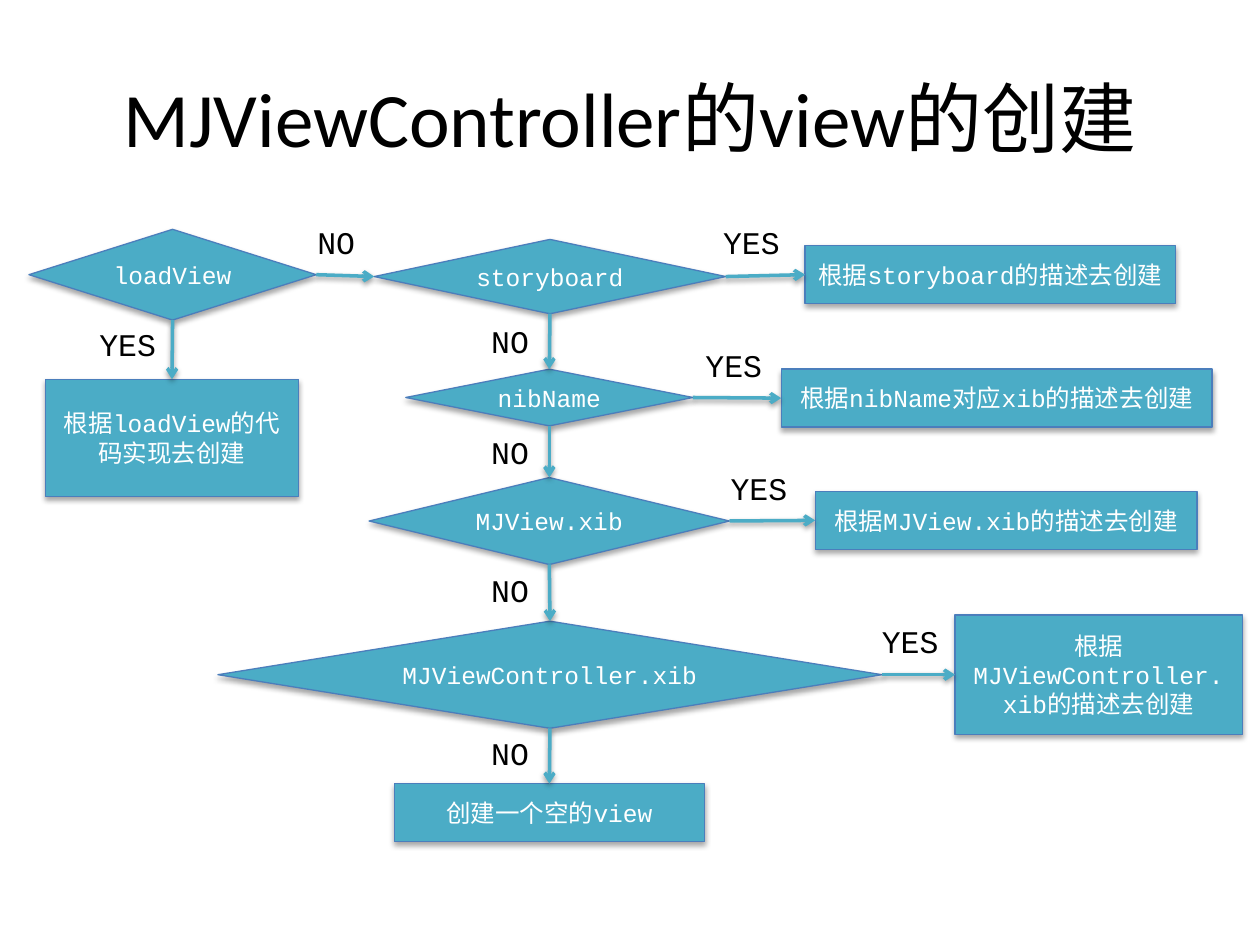
"""Build a flowchart slide on how a view controller creates its view."""
import pptx
import pptx.util
import pptx.dml.color
import pptx.enum.shapes
import pptx.enum.text
import pptx.oxml
import pptx.oxml.ns
from dataclasses import dataclass

Inches, Pt = pptx.util.Inches, pptx.util.Pt
Shape = pptx.enum.shapes.MSO_SHAPE
Align = pptx.enum.text.PP_ALIGN
Anchor = pptx.enum.text.MSO_ANCHOR
AutoSize = pptx.enum.text.MSO_AUTO_SIZE


@dataclass
class Theme:
    """Colours, fonts and sizes."""
    fill: str = "4BACC6"
    outline: str = "4B7EBC"
    ink: str = "000000"
    light: str = "FFFFFF"
    title_font: str = "Calibri"
    body_font: str = "Courier New"
    title_size: int = 44
    node_size: int = 14
    label_size: int = 18


THEME = Theme()
TITLE = ("MJViewController的view的创建", (0.5, 0.3, 9, 1.25))
QUESTIONS = {
    "loadView": (0.23, 1.82, 2.28, 0.72),
    "storyboard": (2.97, 1.9, 2.79, 0.59),
    "nibName": (3.22, 2.93, 2.28, 0.45),
    "MJView.xib": (2.93, 3.79, 2.86, 0.69),
    "MJViewController.xib": (1.73, 4.93, 5.27, 0.85),
}
RESULTS = {
    "根据loadView的代码实现去创建": (0.36, 3.01, 2.01, 0.93),
    "根据storyboard的描述去创建": (6.39, 1.95, 2.94, 0.46),
    "根据nibName对应xib的描述去创建": (6.2, 2.93, 3.42, 0.46),
    "根据MJView.xib的描述去创建": (6.47, 3.9, 3.03, 0.46),
    "根据MJViewController.xib的描述去创建": (7.58, 4.88, 2.28, 0.95),
    "创建一个空的view": (3.13, 6.22, 2.46, 0.46),
}
ARROWS = [
    ("loadView", "根据loadView的代码实现去创建", "down", "YES", (0.69, 2.53)),
    ("loadView", "storyboard", "right", "NO", (2.42, 1.72)),
    ("storyboard", "根据storyboard的描述去创建", "right", "YES", (5.64, 1.72)),
    ("storyboard", "nibName", "down", "NO", (3.8, 2.51)),
    ("nibName", "根据nibName对应xib的描述去创建", "right", "YES", (5.5, 2.7)),
    ("nibName", "MJView.xib", "down", "NO", (3.8, 3.39)),
    ("MJView.xib", "根据MJView.xib的描述去创建", "right", "YES", (5.7, 3.67)),
    ("MJView.xib", "MJViewController.xib", "down", "NO", (3.8, 4.48)),
    ("MJViewController.xib", "根据MJViewController.xib的描述去创建", "right", "YES", (6.9, 4.89)),
    ("MJViewController.xib", "创建一个空的view", "down", "NO", (3.8, 5.78)),
]
SITES = {"down": (2, 0), "right": (3, 1)}
LABEL_WIDTHS = {"YES": 0.66, "NO": 0.51}
LABEL_HEIGHT = 0.4


def colour(code):
    return pptx.dml.color.RGBColor.from_string(code)


def apply(target, values):
    for name, value in values.items():
        setattr(target, name, value)


def write(box, text, font, size, ink, align, frame_format):
    frame = box.text_frame
    apply(frame, frame_format)
    para = frame.paragraphs[0]
    para.alignment = align
    span = para.add_run()
    span.text = text
    apply(span.font, {"name": font, "size": Pt(size)})
    span.font.color.rgb = colour(ink)


def add_shadow(item, distance, opacity):
    properties = item._element.spPr
    for old in properties.findall(pptx.oxml.ns.qn("a:effectLst")):
        properties.remove(old)
    properties.append(pptx.oxml.parse_xml(
        f'<a:effectLst {pptx.oxml.ns.nsdecls("a")}>'
        f'<a:outerShdw blurRad="{Pt(3.1)}" dist="{Pt(distance)}" dir="5400000" rotWithShape="0">'
        f'<a:srgbClr val="{THEME.ink}"><a:alpha val="{opacity * 1000}"/></a:srgbClr>'
        '</a:outerShdw></a:effectLst>'))


def add_node(page, kind, text, place):
    node = page.shapes.add_shape(kind, *map(Inches, place))
    node.fill.solid()
    node.fill.fore_color.rgb = colour(THEME.fill)
    node.line.color.rgb = colour(THEME.outline)
    node.line.width = Pt(0.75)
    add_shadow(node, 1.8, 35)
    write(node, text, THEME.body_font, THEME.node_size, THEME.light, Align.CENTER,
          {"word_wrap": True, "vertical_anchor": Anchor.MIDDLE})
    return node


def add_arrow(page, start, end, direction):
    arrow = page.shapes.add_connector(pptx.enum.shapes.MSO_CONNECTOR.STRAIGHT, 0, 0, 0, 0)
    begin_site, end_site = SITES[direction]
    arrow.begin_connect(start, begin_site)
    arrow.end_connect(end, end_site)
    arrow.line.color.rgb = colour(THEME.fill)
    arrow.line.width = Pt(2)
    arrow.line._get_or_add_ln().append(pptx.oxml.parse_xml(
        f'<a:tailEnd {pptx.oxml.ns.nsdecls("a")} type="arrow"/>'))
    add_shadow(arrow, 1.6, 38)


def add_label(page, text, corner):
    place = (*corner, LABEL_WIDTHS[text], LABEL_HEIGHT)
    box = page.shapes.add_textbox(*map(Inches, place))
    write(box, text, THEME.body_font, THEME.label_size, THEME.ink, Align.LEFT,
          {"word_wrap": False, "auto_size": AutoSize.SHAPE_TO_FIT_TEXT})


deck = pptx.Presentation()
apply(deck, {"slide_width": Inches(10), "slide_height": Inches(7.5)})
page = deck.slides.add_slide(deck.slide_layouts[5])

title_text, title_place = TITLE
title = page.shapes.title
apply(title, dict(zip(("left", "top", "width", "height"), map(Inches, title_place))))
write(title, title_text, THEME.title_font, THEME.title_size, THEME.ink, Align.CENTER,
      {"word_wrap": True, "vertical_anchor": Anchor.MIDDLE})

nodes = {}
for kind, group in ((Shape.FLOWCHART_DECISION, QUESTIONS), (Shape.RECTANGLE, RESULTS)):
    for text, place in group.items():
        nodes[text] = add_node(page, kind, text, place)

for start, end, direction, answer, corner in ARROWS:
    add_arrow(page, nodes[start], nodes[end], direction)
    add_label(page, answer, corner)

deck.save("out.pptx")
